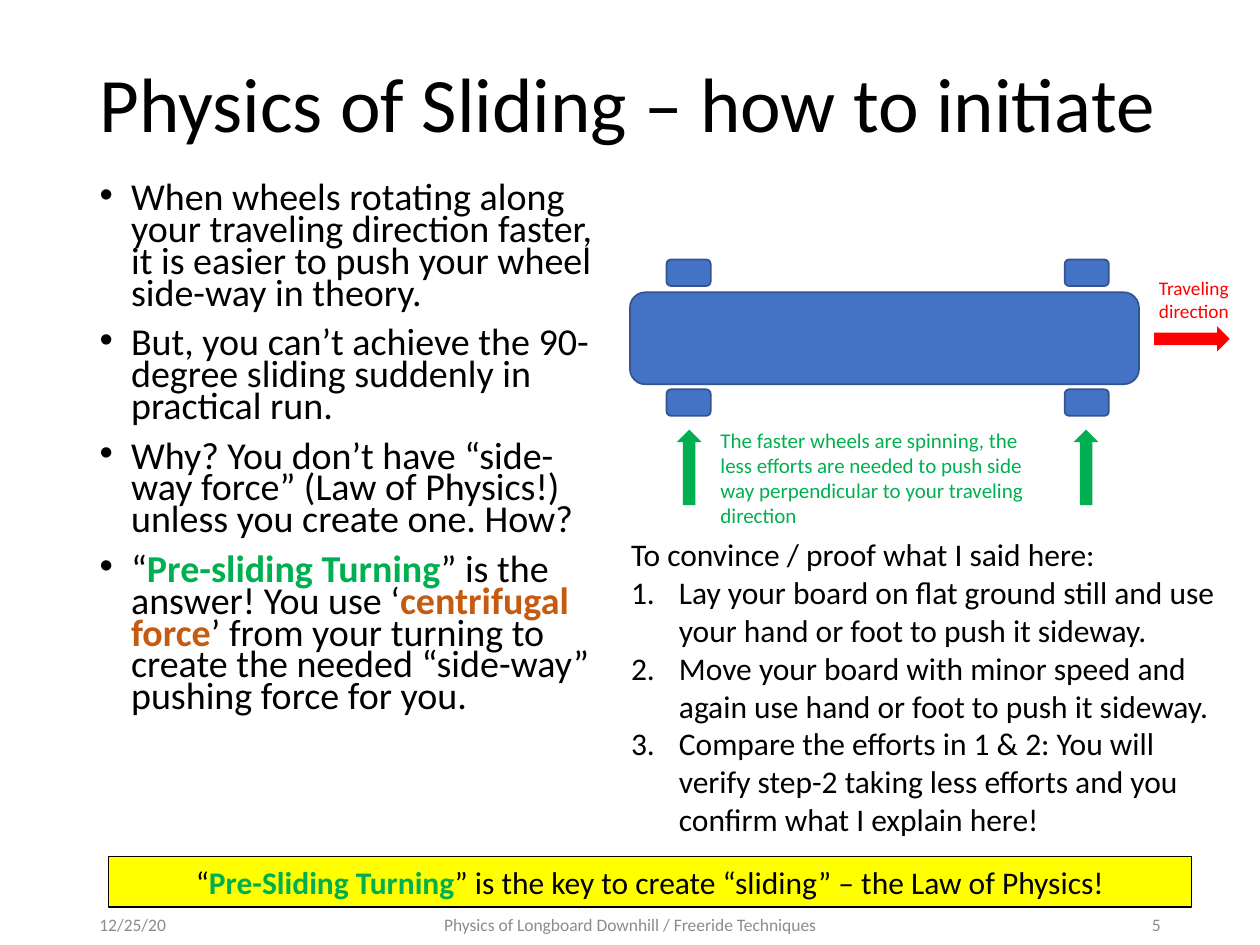
from lxml.etree import SubElement
from pptx import Presentation
from pptx.dml.color import RGBColor
from pptx.enum.shapes import MSO_SHAPE
from pptx.enum.text import MSO_ANCHOR, MSO_AUTO_SIZE, PP_ALIGN
from pptx.oxml.ns import qn
from pptx.util import Emu, Pt

PX = 9144  # EMU per px, 100 px to the inch
BLACK = RGBColor(0x00, 0x00, 0x00)
GREEN = RGBColor(0x00, 0xB0, 0x50)
ORANGE = RGBColor(0xC5, 0x5A, 0x11)
RED = RGBColor(0xFF, 0x00, 0x00)
YELLOW = RGBColor(0xFF, 0xFF, 0x00)
BLUE = RGBColor(0x44, 0x72, 0xC4)
BLUE_EDGE = RGBColor(0x32, 0x54, 0x91)
GREY = RGBColor(0x8C, 0x8C, 0x8C)

BULLET = ("a:buChar", {"char": "•"}, 25)
NUMBER = ("a:buAutoNum", {"type": "arabicPeriod"}, 38)


def px(length):
    return Emu(length * PX)


class SlideBuilder:
    """Holds the text style and the current slide."""

    def __init__(self, page, font="Calibri"):
        self.page = page
        self.font = font

    def place(self, box, bounds):
        box.left, box.top, box.width, box.height = map(px, bounds)

    def fill_text(self, box, paragraphs, size, color=BLACK, marker=None, intro=0, **formats):
        """Fill a box; a paragraph is a string or a list of (text, accent colour or None).

        The marker is left off the first `intro` paragraphs.
        """
        frame = box.text_frame
        frame.word_wrap = True
        frame.auto_size = MSO_AUTO_SIZE.NONE
        for index, content in enumerate(paragraphs):
            para = frame.paragraphs[0] if index == 0 else frame.add_paragraph()
            settings = {"alignment": PP_ALIGN.LEFT, "space_before": Pt(0), **formats}
            if index == 0:
                settings["space_before"] = Pt(0)
            for name, value in settings.items():
                setattr(para, name, value)
            if marker and index >= intro:
                self.mark(para, marker)
            spans = [(content, None)] if isinstance(content, str) else content
            for text, accent in spans:
                span = para.add_run()
                span.text = text
                style = {"name": self.font, "size": Pt(size), "bold": accent is not None}
                for name, value in style.items():
                    setattr(span.font, name, value)
                span.font.color.rgb = accent or color

    def mark(self, para, marker):
        tag, attributes, indent = marker
        properties = para._p.get_or_add_pPr()
        properties.set("marL", str(px(indent)))
        properties.set("indent", str(-px(indent)))
        SubElement(properties, qn(tag), attributes)

    def placeholder(self, index, bounds, paragraphs, size, anchor, **formats):
        box = self.page.placeholders[index]
        self.place(box, bounds)
        box.text_frame.vertical_anchor = anchor
        self.fill_text(box, paragraphs, size, **formats)

    def text(self, bounds, paragraphs, size, **formats):
        box = self.page.shapes.add_textbox(*map(px, bounds))
        self.fill_text(box, paragraphs, size, **formats)
        return box

    def footer(self, bounds, text, alignment):
        box = self.text(bounds, [text], 10, color=GREY, alignment=alignment)
        frame = box.text_frame
        frame.margin_top = frame.margin_bottom = 0
        frame.vertical_anchor = MSO_ANCHOR.MIDDLE

    def shape(self, kind, bounds, fill, edge=None, edge_width=1, rotation=0):
        box = self.page.shapes.add_shape(kind, *map(px, bounds))
        box.shadow.inherit = False
        box.rotation = rotation
        box.fill.solid()
        box.fill.fore_color.rgb = fill
        if edge is None:
            box.line.fill.background()
        else:
            box.line.color.rgb = edge
            box.line.width = Pt(edge_width)
        return box


def main():
    deck = Presentation()
    deck.slide_width, deck.slide_height = px(1000), px(750)
    slide = SlideBuilder(deck.slides.add_slide(deck.slide_layouts[1]))

    slide.placeholder(0, (69, 40, 862, 91), ["Physics of Sliding – how to initiate"],
                      44, MSO_ANCHOR.MIDDLE, line_spacing=0.9)
    slide.placeholder(1, (69, 142, 425, 533), [
        "When wheels rotating along your traveling direction faster, "
        "it is easier to push your wheel side-way in theory.",
        "But, you can’t achieve the 90-degree sliding suddenly in practical run.",
        "Why? You don’t have “side-way force” (Law of Physics!) "
        "unless you create one. How?",
        [("“", None), ("Pre-sliding Turning", GREEN),
         ("” is the answer! You use ‘", None), ("centrifugal force", ORANGE),
         ("’ from your turning to create the needed “side-way” pushing force for you.", None)],
    ], 21.7, MSO_ANCHOR.TOP, marker=BULLET, line_spacing=0.7, space_before=Pt(10))

    # Longboard seen from above: deck and four wheels
    slide.shape(MSO_SHAPE.ROUNDED_RECTANGLE, (500, 232, 404, 73), BLUE, BLUE_EDGE)
    for left in (529, 845):
        for top in (206, 309):
            slide.shape(MSO_SHAPE.ROUNDED_RECTANGLE, (left, top, 35, 21), BLUE, BLUE_EDGE)

    # Travel and push directions
    slide.shape(MSO_SHAPE.RIGHT_ARROW, (916, 259, 60, 20), RED)
    for left in (517, 832):
        slide.shape(MSO_SHAPE.RIGHT_ARROW, (left, 361, 60, 20), GREEN, rotation=270)
    slide.text((910, 214, 77, 47), ["Traveling direction"], 11, color=RED)
    slide.text((562, 334, 280, 91), [
        "The faster wheels are spinning, the less efforts are needed to push "
        "side way perpendicular to your traveling direction"], 12, color=GREEN)

    slide.text((491, 420, 485, 252), [
        "To convince / proof what I said here:",
        "Lay your board on flat ground still and use your hand or foot to push it sideway.",
        "Move your board with minor speed and again use hand or foot to push it sideway.",
        "Compare the efforts in 1 & 2: You will verify step-2 taking less efforts "
        "and you confirm what I explain here!",
    ], 18, marker=NUMBER, intro=1)

    banner = slide.shape(MSO_SHAPE.RECTANGLE, (86, 680, 860, 40), YELLOW, BLACK, 0.75)
    slide.fill_text(banner, [[
        ("“", None), ("Pre-Sliding Turning", GREEN),
        ("” is the key to create “sliding” – the Law of Physics!", None),
    ]], 18, alignment=PP_ALIGN.CENTER)

    slide.footer((69, 726, 225, 16), "12/25/20", PP_ALIGN.LEFT)
    slide.footer((331, 726, 338, 16), "Physics of Longboard Downhill / Freeride Techniques",
                 PP_ALIGN.CENTER)
    slide.footer((706, 726, 225, 16), "5", PP_ALIGN.RIGHT)

    deck.save("out.pptx")


if __name__ == "__main__":
    main()
